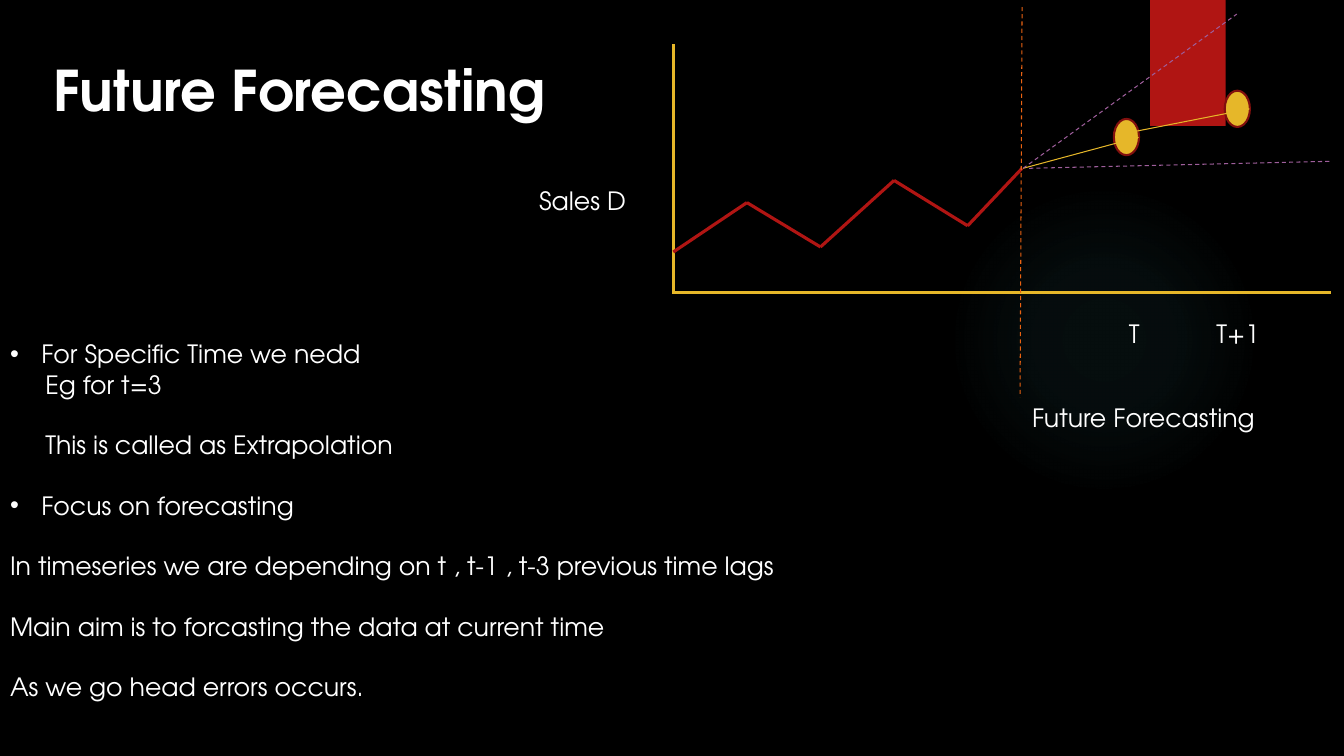
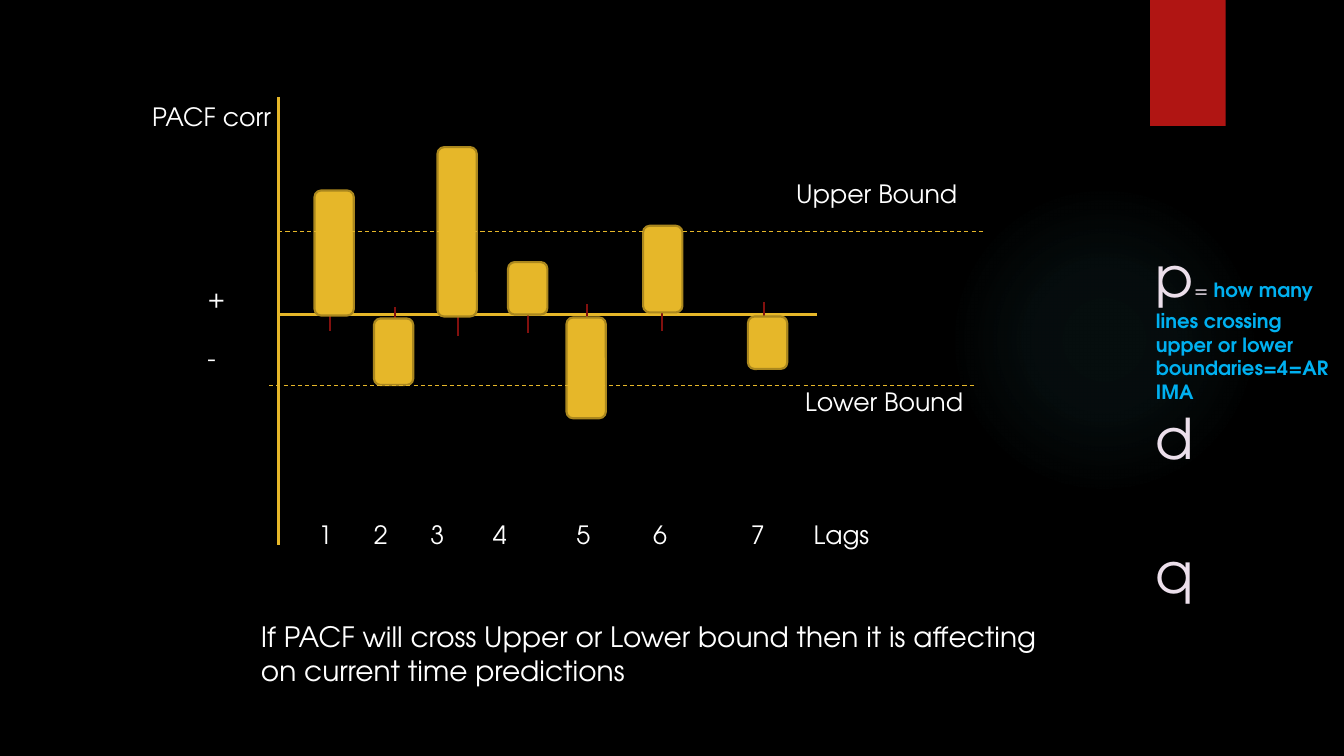
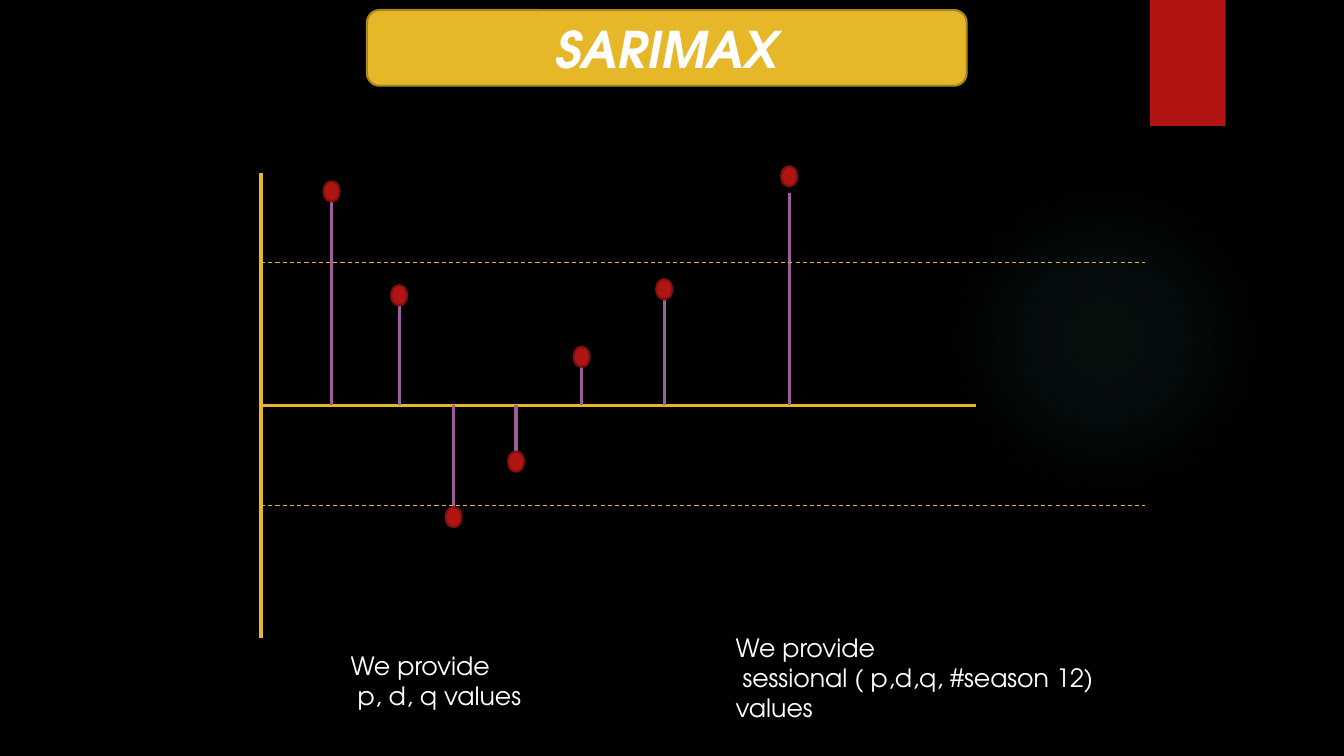
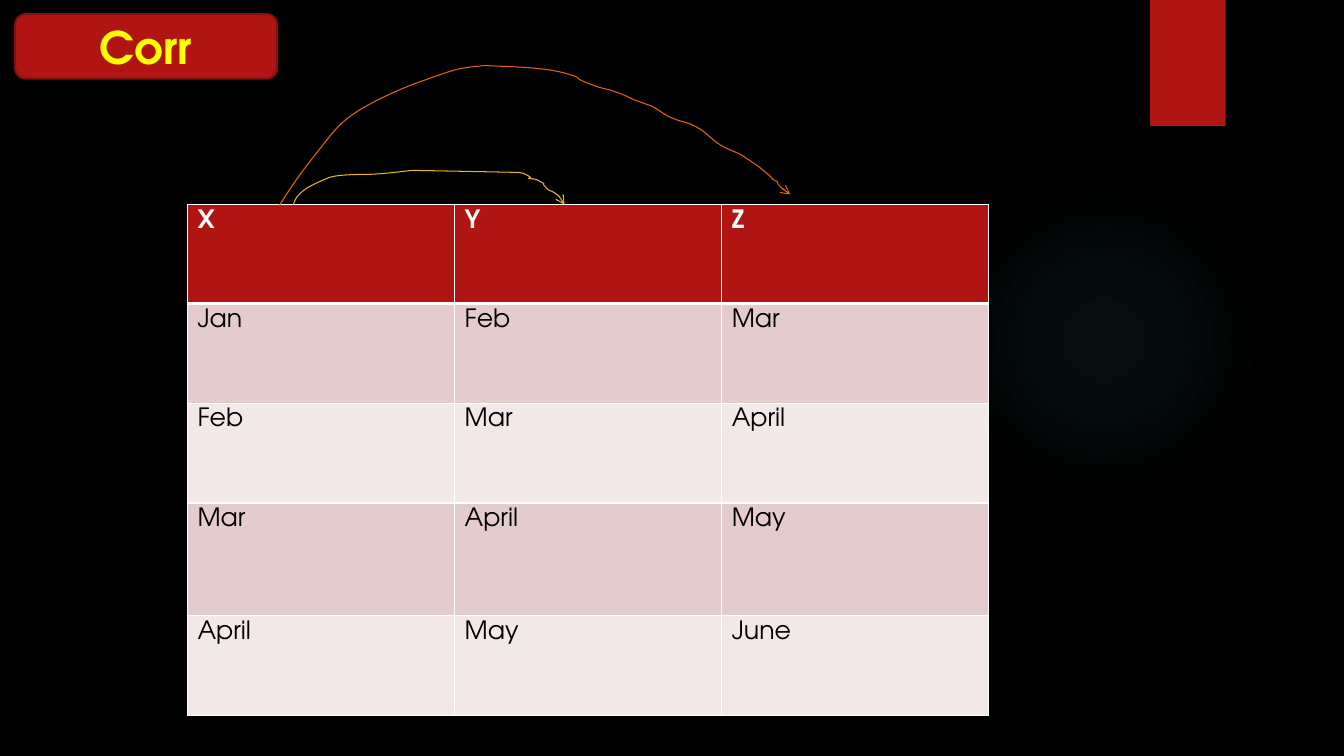
from itertools import pairwise

from lxml.etree import SubElement
from pptx import Presentation
from pptx.dml.color import RGBColor
from pptx.enum.dml import MSO_LINE
from pptx.enum.shapes import MSO_CONNECTOR, MSO_SHAPE
from pptx.enum.text import MSO_ANCHOR, MSO_AUTO_SIZE, PP_ALIGN
from pptx.oxml.ns import qn
from pptx.util import Inches, Pt

FONT = "TeX Gyre Adventor"
BLACK = RGBColor(0x00, 0x00, 0x00)
WHITE = RGBColor(0xFF, 0xFF, 0xFF)
RED = RGBColor(0xB0, 0x15, 0x13)
DARK_RED = RGBColor(0x82, 0x10, 0x0E)
GOLD = RGBColor(0xE6, 0xB7, 0x29)
DARK_GOLD = RGBColor(0xAA, 0x87, 0x1E)
ORANGE = RGBColor(0xEA, 0x63, 0x12)
PURPLE = RGBColor(0x9E, 0x5E, 0x9B)
LILAC = RGBColor(0xEC, 0xDF, 0xEB)
BLUE = RGBColor(0x00, 0xB0, 0xF0)
YELLOW = RGBColor(0xFF, 0xFF, 0x00)
TEAL = RGBColor(0x50, 0xB9, 0xC1)
ROSE = RGBColor(0xE4, 0xCC, 0xCC)
PALE_ROSE = RGBColor(0xF2, 0xE8, 0xE7)

TITLE_AND_BODY, BLANK = 1, 6
LINE_GAP = 21.6


def style_font(font, size=18, color=WHITE, bold=False, italic=False):
    font.name = FONT
    font.size = Pt(size)
    font.color.rgb = color
    font.bold = bold
    font.italic = italic


def place(shape, left, top, width, height):
    shape.left, shape.top = Inches(left), Inches(top)
    shape.width, shape.height = Inches(width), Inches(height)


def add_text(slide, box, lines, size=18, color=WHITE, gap=0):
    shape = slide.shapes.add_textbox(*map(Inches, box))
    frame = shape.text_frame
    frame.word_wrap = True
    frame.text = "\n".join(lines)
    for index, paragraph in enumerate(frame.paragraphs):
        paragraph.space_before = Pt(gap if index else 0)
        style_font(paragraph.font, size, color)
    return shape


def add_tabbed_text(slide, box, labels, stops, align):
    shape = add_text(slide, box, ["\t" + "\t".join(labels)])
    properties = shape.text_frame.paragraphs[0]._p.pPr
    tabs = SubElement(properties, qn("a:tabLst"))
    for stop in stops:
        SubElement(tabs, qn("a:tab"), pos=str(Inches(stop)), algn=align)
    properties.find(qn("a:defRPr")).addprevious(tabs)


def add_line(slide, start, end, color, weight=2.25, dashed=False, arrow=False):
    connector = slide.shapes.add_connector(
        MSO_CONNECTOR.STRAIGHT, *map(Inches, (*start, *end)))
    connector.line.color.rgb = color
    connector.line.width = Pt(weight)
    if dashed:
        connector.line.dash_style = MSO_LINE.DASH
    if arrow:
        add_arrowhead(connector)
    SubElement(connector.element.spPr, qn("a:effectLst"))


def add_arrowhead(shape):
    outline = shape.element.spPr.find(qn("a:ln"))
    SubElement(outline, qn("a:tailEnd"), type="arrow")


def add_box(slide, kind, box, fill, outline=None):
    shape = slide.shapes.add_shape(kind, *map(Inches, box))
    shape.shadow.inherit = False
    shape.fill.solid()
    shape.fill.fore_color.rgb = fill
    if outline is None:
        shape.line.fill.background()
    else:
        shape.line.color.rgb = outline
        shape.line.width = Pt(1.5)
    return shape


def add_badge(slide, text, box, size, color, fill, outline, italic=False):
    badge = add_box(slide, MSO_SHAPE.ROUNDED_RECTANGLE, box, fill, outline)
    frame = badge.text_frame
    frame.text = text
    frame.vertical_anchor = MSO_ANCHOR.MIDDLE
    paragraph = frame.paragraphs[0]
    paragraph.alignment = PP_ALIGN.CENTER
    style_font(paragraph.font, size, color, True, italic)


def fill_title(slide, text, box):
    title = slide.shapes.title
    place(title, *box)
    frame = title.text_frame
    frame.text = text
    frame.auto_size = MSO_AUTO_SIZE.NONE
    frame.vertical_anchor = MSO_ANCHOR.MIDDLE
    paragraph = frame.paragraphs[0]
    paragraph.alignment = PP_ALIGN.LEFT
    style_font(paragraph.font, 40, bold=True)


def fill_list(slide, box, items):
    body = slide.placeholders[1]
    place(body, *box)
    frame = body.text_frame
    frame.auto_size = MSO_AUTO_SIZE.NONE
    frame.text = "\n".join(text for text, *_ in items)
    for paragraph, (_, bullet, margin, gap) in zip(frame.paragraphs, items):
        paragraph.space_before = Pt(gap)
        properties = paragraph._p.get_or_add_pPr()
        properties.set("marL", str(Inches(margin)))
        properties.set("indent", str(-Inches(margin) if bullet else 0))
        if bullet:
            SubElement(properties, qn("a:buChar"), char="•")
        else:
            SubElement(properties, qn("a:buNone"))
        style_font(paragraph.font)


def add_curved_arrow(slide, points, color):
    start, *rest = [(Inches(x), Inches(y)) for x, y in points]
    builder = slide.shapes.build_freeform(*start)
    builder.add_line_segments(rest, close=False)
    shape = builder.convert_to_shape()
    join_as_curves(shape)
    shape.shadow.inherit = False
    shape.fill.background()
    shape.line.color.rgb = color
    shape.line.width = Pt(0.75)
    add_arrowhead(shape)


def join_as_curves(shape):
    segments = list(shape.element.spPr.iter(qn("a:lnTo")))
    outline = segments[0].getparent()
    for first in range(0, len(segments), 3):
        curve = SubElement(outline, qn("a:cubicBezTo"))
        for segment in segments[first:first + 3]:
            curve.append(segment[0])
            outline.remove(segment)


def set_borders(cell, top, bottom):
    properties = cell._tc.get_or_add_tcPr()
    for side, weight in (("L", 1), ("R", 1), ("T", top), ("B", bottom)):
        border = SubElement(properties, qn(f"a:ln{side}"), w=str(Pt(weight)))
        solid = SubElement(border, qn("a:solidFill"))
        SubElement(solid, qn("a:srgbClr"), val=str(WHITE))


def add_month_table(slide, box, row_heights, rows):
    frame = slide.shapes.add_table(len(rows), len(rows[0]), *map(Inches, box))
    table = frame.table
    for index, (row, height) in enumerate(zip(rows, row_heights)):
        table.rows[index].height = Inches(height)
        header = index == 0
        fill = RED if header else (PALE_ROSE, ROSE)[index % 2]
        for column, text in enumerate(row):
            cell = table.cell(index, column)
            cell.text = text
            set_borders(cell, 3 if index == 1 else 1, 3 if header else 1)
            cell.fill.solid()
            cell.fill.fore_color.rgb = fill
            style_font(cell.text_frame.paragraphs[0].font,
                       color=WHITE if header else BLACK, bold=header)


def fade_radially(shape, color, stops):
    properties = shape.element.spPr
    solid = properties.find(qn("a:solidFill"))
    gradient = SubElement(properties, qn("a:gradFill"))
    stop_list = SubElement(gradient, qn("a:gsLst"))
    for position, opacity in stops:
        stop = SubElement(stop_list, qn("a:gs"), pos=str(position * 1000))
        tint = SubElement(stop, qn("a:srgbClr"), val=str(color))
        SubElement(tint, qn("a:alpha"), val=str(opacity * 1000))
    radial = SubElement(gradient, qn("a:path"), path="circle")
    SubElement(radial, qn("a:fillToRect"), l="50000", t="50000", r="50000", b="50000")
    properties.replace(solid, gradient)


def decorate_master(presentation, slide):
    master = presentation.slide_master
    master.background.fill.solid()
    master.background.fill.fore_color.rgb = BLACK
    glow = add_box(slide, MSO_SHAPE.OVAL, (9.41, 1.83, 3.08, 3.08), TEAL)
    fade_radially(glow, TEAL, ((0, 7), (36, 6), (69, 0)))
    tag = add_box(slide, MSO_SHAPE.RECTANGLE, (11.41, 0, 0.75, 1.25), RED)
    for position, shape in enumerate((glow, tag), start=2):
        master.element.cSld.spTree.insert(position, shape.element)


def build_forecasting(slide):
    fill_title(slide, "Future Forecasting", (0.43, 0.23, 11.72, 1.31))
    add_line(slide, (6.68, 0.44), (6.68, 2.91), GOLD)
    add_line(slide, (6.67, 2.9), (13.2, 2.9), GOLD)
    sales = [(6.68, 2.5), (7.41, 2.01), (8.14, 2.45), (8.87, 1.79), (9.6, 2.24), (10.14, 1.67)]
    for start, end in pairwise(sales):
        add_line(slide, start, end, RED)
    add_line(slide, (10.14, 0.07), (10.12, 3.94), ORANGE, 0.75, dashed=True)
    add_text(slide, (10.14, 3.94, 3.02, 0.4), ["Future Forecasting"])
    add_text(slide, (5.25, 1.79, 1.29, 0.4), ["Sales D"])
    add_tabbed_text(slide, (10.21, 3.11, 2.99, 0.4), ["T", "T+1"], (0.89, 1.76), "l")
    for left, top in ((11.05, 1.18), (12.15, 0.9)):
        add_box(slide, MSO_SHAPE.OVAL, (left, top, 0.25, 0.36), GOLD, DARK_RED)
    add_line(slide, (10.15, 1.67), (11.3, 1.36), GOLD, 0.75, arrow=True)
    add_line(slide, (11.18, 1.32), (12.4, 1.08), GOLD, 0.75, arrow=True)
    add_line(slide, (10.15, 1.67), (12.27, 0.14), PURPLE, 0.75, dashed=True)
    add_line(slide, (10.21, 1.67), (13.2, 1.6), PURPLE, 0.75, dashed=True)
    fill_list(slide, (0, 3.31, 9.95, 3.74), [
        ("For Specific Time we nedd", True, 0.31, 0),
        ("Eg for t=3", False, 0.35, 0),
        ("This is called as Extrapolation", False, 0.35, LINE_GAP),
        ("Focus on forecasting", True, 0.31, LINE_GAP),
        ("In timeseries we are depending on t , t-1 , t-3 previous time lags", False, 0, LINE_GAP),
        ("Main aim is to forcasting the data at current time", False, 0, LINE_GAP),
        ("As we go head errors occurs.", False, 0, LINE_GAP),
    ])


def build_pacf(slide):
    add_line(slide, (2.76, 0.96), (2.76, 5.41), GOLD)
    add_line(slide, (2.76, 3.12), (8.11, 3.12), GOLD)
    ticks = [(3.27, 3.02), (3.92, 3.05), (4.54, 3.07), (5.24, 3.04), (5.82, 3.02),
             (6.57, 3.02), (7.58, 3)]
    for left, top in ticks:
        add_line(slide, (left, top), (left, top + 0.26), DARK_RED, 1.5)
    add_tabbed_text(slide, (2.93, 5.1, 6.19, 0.4),
                    ["1", "2", "3", "4", "5", "6", "7", "Lags"],
                    (0.2, 0.75, 1.31, 1.93, 2.76, 3.52, 4.49, 5.32), "ctr")
    add_text(slide, (1.96, 2.75, 0.64, 1.01), ["+", "-"], gap=LINE_GAP)
    add_text(slide, (1.41, 0.96, 1.61, 0.4), ["PACF corr"])
    bars = [(3.12, 1.89, 1.24), (3.71, 3.16, 0.66), (4.34, 1.46, 1.68), (5.04, 2.6, 0.52),
            (5.62, 3.15, 1), (6.38, 2.24, 0.86), (7.42, 3.14, 0.52)]
    for left, top, height in bars:
        add_box(slide, MSO_SHAPE.ROUNDED_RECTANGLE, (left, top, 0.39, height), GOLD, DARK_GOLD)
    for left, top in ((2.76, 2.3), (2.67, 3.82)):
        add_line(slide, (left, top), (left + 7, top), GOLD, 0.75, dashed=True)
    add_text(slide, (7.8, 1.72, 1.96, 0.4), ["Upper Bound"])
    add_text(slide, (7.89, 3.78, 1.96, 0.4), ["Lower Bound"])
    add_text(slide, (2.49, 6.1, 7.98, 0.77),
             ["If PACF will cross Upper or Lower bound then it is affecting "
              "on current time predictions"], size=20)
    orders = add_text(slide, (11.37, 2.35, 1.94, 4.41), ["p", "d", "q"], 40, LILAC)
    first, _, last = orders.text_frame.paragraphs
    last.space_before = Pt(48)
    equals, meaning = first.add_run(), first.add_run()
    equals.text = "= "
    style_font(equals.font, 14, LILAC)
    meaning.text = "how many lines crossing upper or lower boundaries=4=ARIMA"
    style_font(meaning.font, 14, BLUE, bold=True)


def build_sarimax(slide):
    axis = 4.02
    add_line(slide, (2.59, 1.72), (2.59, 6.33), GOLD)
    add_line(slide, (9.68, axis), (2.59, axis), GOLD)
    stems = [(3.29, 1.91, 1.8), (3.96, 2.93, 2.83), (4.5, 5.12, 5.03), (5.12, 4.47, 4.48),
             (5.77, 3.58, 3.44), (6.59, 2.93, 2.77), (7.83, 1.91, 1.65)]
    for center, tip, dot_top in stems:
        add_line(slide, (center, axis), (center, tip), PURPLE)
        add_box(slide, MSO_SHAPE.OVAL, (center - 0.08, dot_top, 0.16, 0.2), RED, DARK_RED)
    for bound in (2.6, 5.02):
        add_line(slide, (2.59, bound), (11.36, bound), GOLD, 0.75, dashed=True)
    add_badge(slide, "SARIMAX", (3.64, 0.1, 5.95, 0.75), 36, WHITE, GOLD, DARK_GOLD,
              italic=True)
    add_text(slide, (7.2, 6.22, 3.8, 1.01),
             ["We provide", " sessional ( p,d,q, #season 12) values"])
    add_text(slide, (3.38, 6.4, 2.93, 0.71), ["We provide", " p, d, q values"])


def build_correlation(slide):
    months = ["Jan", "Feb", "Mar", "April", "May", "June"]
    rows = [["X", "Y", "Z"]] + [months[start:start + 3] for start in range(4)]
    add_month_table(slide, (1.86, 2.03, 7.95, 5.07), (0.98, 0.99, 0.99, 1.12, 0.99), rows)
    add_badge(slide, "Corr", (0.15, 0.14, 2.6, 0.64), 32, YELLOW, RED, DARK_RED)
    add_curved_arrow(slide, [
        (2.91, 2.03), (2.93, 1.97), (2.95, 1.94), (3, 1.9), (3.05, 1.85), (3.22, 1.78),
        (3.27, 1.76), (3.36, 1.73), (3.6, 1.73), (3.67, 1.73), (3.86, 1.72), (3.91, 1.71),
        (4.09, 1.69), (4.09, 1.69), (5.1, 1.71), (5.1, 1.71), (5.13, 1.71), (5.16, 1.71),
        (5.19, 1.72), (5.38, 1.8), (5.12, 1.75), (5.32, 1.78), (5.5, 1.88), (5.3, 1.76),
        (5.45, 1.89), (5.46, 1.89), (5.47, 1.89), (5.48, 1.9), (5.5, 1.91), (5.55, 1.95),
        (5.56, 1.96), (5.56, 1.96), (5.6, 2.03), (5.6, 2.03)], GOLD)
    add_curved_arrow(slide, [
        (2.77, 2.04), (2.93, 1.79), (2.98, 1.72), (3.21, 1.43), (3.28, 1.34), (3.35, 1.25),
        (3.44, 1.18), (3.61, 1.04), (3.97, 0.88), (4.17, 0.81), (4.57, 0.67), (4.52, 0.68),
        (4.81, 0.65), (4.95, 0.66), (5.36, 0.66), (5.58, 0.72), (5.85, 0.79), (5.61, 0.75),
        (5.9, 0.85), (5.96, 0.88), (6.04, 0.88), (6.1, 0.91), (6.17, 0.93), (6.23, 0.96),
        (6.29, 0.99), (6.35, 1.01), (6.4, 1.03), (6.46, 1.05), (6.52, 1.08), (6.57, 1.12),
        (6.62, 1.15), (6.79, 1.23), (6.8, 1.19), (6.96, 1.29), (7.02, 1.33), (7.08, 1.4),
        (7.15, 1.44), (7.21, 1.48), (7.29, 1.5), (7.36, 1.54), (7.39, 1.56), (7.42, 1.58),
        (7.45, 1.6), (7.49, 1.63), (7.53, 1.65), (7.56, 1.68), (7.75, 1.83), (7.6, 1.75),
        (7.71, 1.8), (7.72, 1.82), (7.72, 1.84), (7.74, 1.85), (7.77, 1.88), (7.8, 1.9),
        (7.83, 1.92), (7.84, 1.92), (7.84, 1.92), (7.84, 1.93)], ORANGE)


def main():
    presentation = Presentation()
    presentation.slide_width = Inches(40 / 3)
    presentation.slide_height = Inches(7.5)
    builders = [(TITLE_AND_BODY, build_forecasting), (BLANK, build_pacf),
                (BLANK, build_sarimax), (BLANK, build_correlation)]
    for index, (layout, build) in enumerate(builders):
        slide = presentation.slides.add_slide(presentation.slide_layouts[layout])
        if index == 0:
            decorate_master(presentation, slide)
        build(slide)
    presentation.save("out.pptx")


if __name__ == "__main__":
    main()
